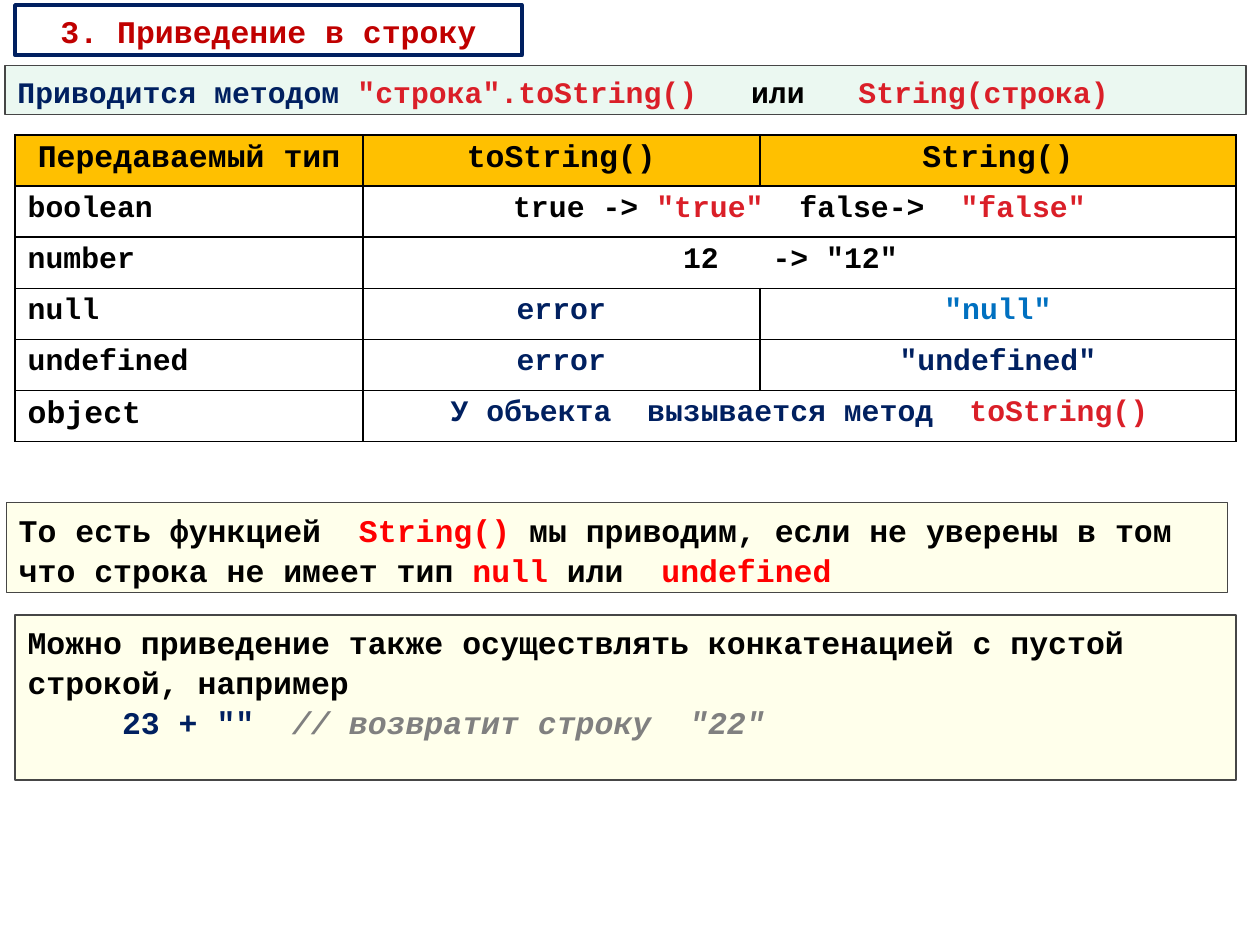
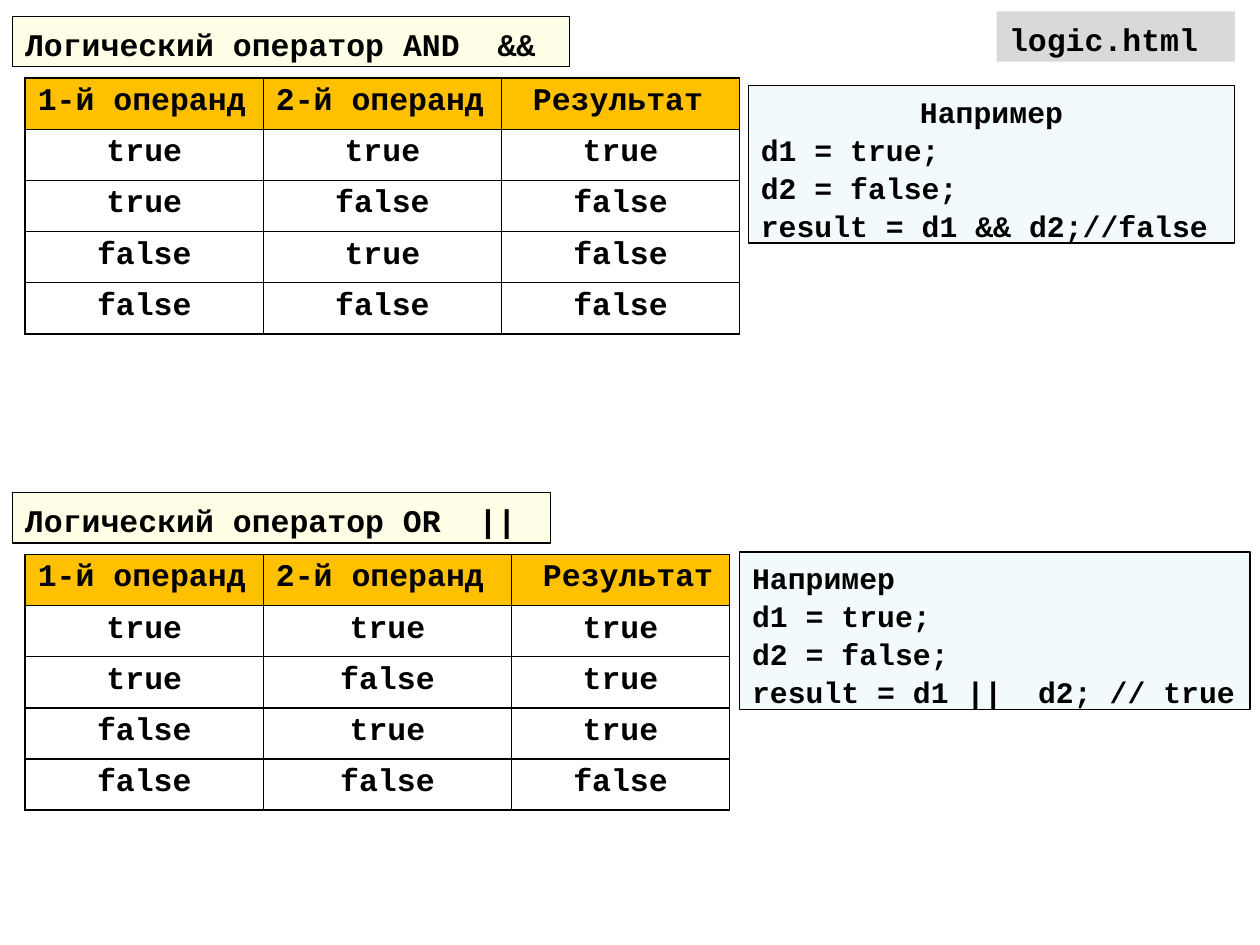
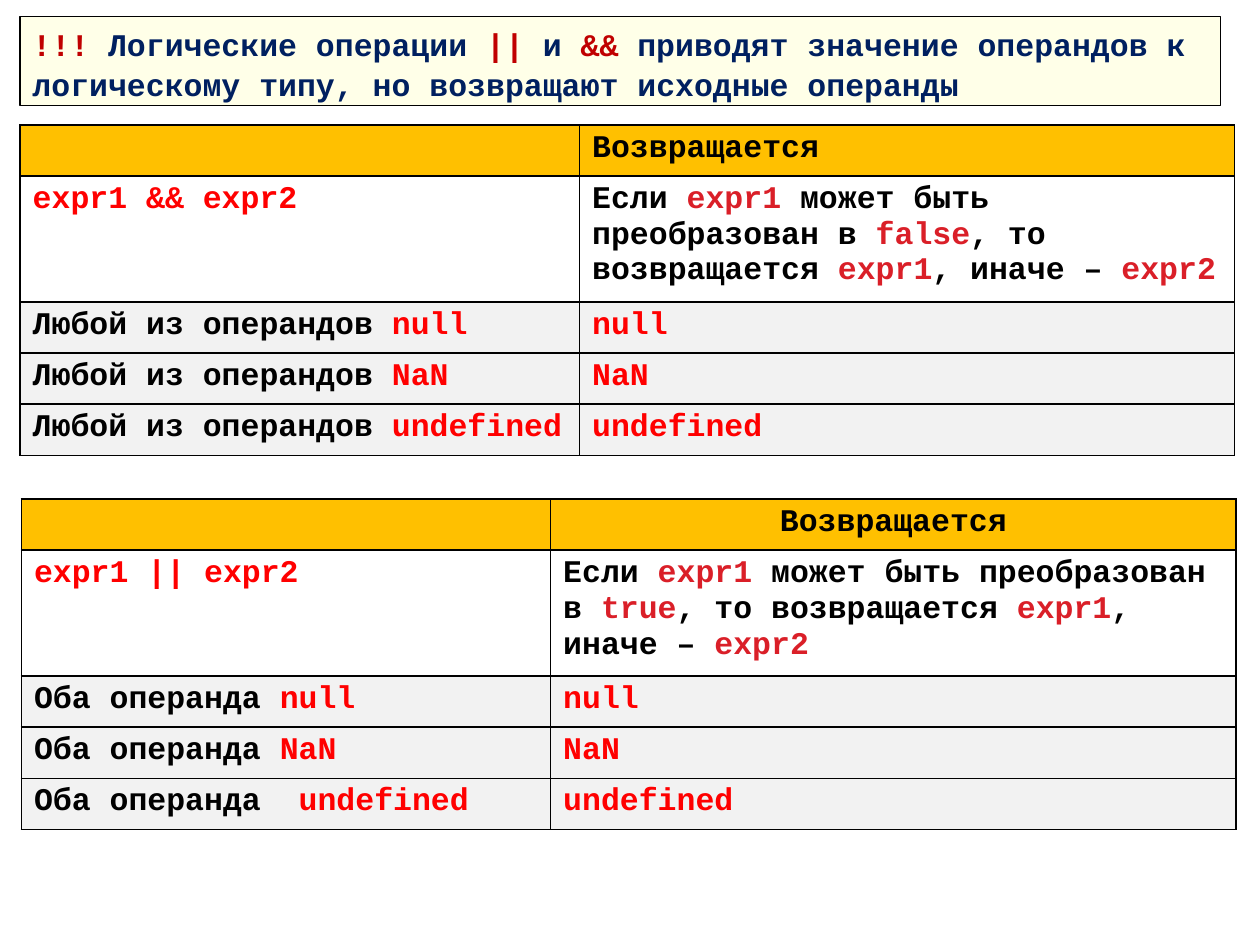
from lxml import etree
from pptx import Presentation
from pptx.dml.color import RGBColor
from pptx.enum.shapes import MSO_SHAPE
from pptx.enum.text import MSO_ANCHOR, PP_ALIGN
from pptx.oxml.ns import qn
from pptx.util import Inches, Pt

RECTANGLE = MSO_SHAPE.RECTANGLE
ALIGNMENTS = {"l": PP_ALIGN.LEFT, "c": PP_ALIGN.CENTER}
FONT = "Courier New"
SIZE, SMALL = 18, 17
ROW, TALL_ROW = 0.406, 1.0
BOX_SPACING = 1.06
CODE_INDENT = 0.75

COLORS = {
    "black": "000000", "white": "FFFFFF", "navy": "002060", "crimson": "DA1F28",
    "red": "FF0000", "maroon": "C00000", "blue": "0070C0", "comment": "808080",
    "green": "00B050", "yellow": "FFFF00", "sky": "7ACBE0", "silver": "D9D9D9",
    "header": "FFC000", "band": "F2F2F2", "outline": "464646",
}

# Box styles: fill, opacity in percent, line colour, line width
STYLES = {
    "title": ("white", 100, "navy", 2.25),
    "method": ("green", 8, "outline", 0.75),
    "remark": ("yellow", 8, "outline", 0.75),
    "heading": ("yellow", 9, "black", 0.75),
    "example": ("sky", 9, "black", 0.75),
    "file": ("silver", 100, None, 0),
}

# Content: {colour:text} marks a coloured run, None continues the cell to its left
CONVERSION_ROWS = [
    ["Передаваемый тип", "toString()", "String()"],
    ["boolean", 'true -> {crimson:"true"  }false->  {crimson:"false"}', None],
    ["number", '12   -> "12" ', None],
    ["null", "{navy:error}", '{blue:"null"}'],
    ["undefined", "{navy:error}", '{navy:"undefined"}'],
    [("object", SIZE), "{navy:У объекта  вызывается метод  }{crimson:toString()}", None],
]
OPERAND_HEADER = ["1-й операнд", "2-й операнд", " Результат"]
OPERANDS = [(True, True), (True, False), (False, True), (False, False)]
EMPTY_VALUES = ["null", "NaN", "undefined"]


def truth_rows(operator):
    """Header and every pair of operands with its result."""
    rows = [(first, second, operator((first, second))) for first, second in OPERANDS]
    return [OPERAND_HEADER] + [[str(value).lower() for value in row] for row in rows]


def return_rows(operator, tested, subjects):
    """What an operator returns, in general and for empty values."""
    rule = (f"Если {{crimson:expr1 }}может быть преобразован в {{crimson:{tested}}}, "
            "то возвращается {crimson:expr1}, иначе – {crimson:expr2}")
    rows = [["", "Возвращается"], [f"{{red:expr1 {operator} expr2}}", rule]]
    for subject, value in zip(subjects, EMPTY_VALUES):
        rows.append([f"{subject}{{red:{value}}}", f"{{red:{value}}}"])
    return rows


def example_lines(result):
    return ["Например", "d1 = true;", "d2 = false;", result]


SLIDES = [
    {
        "boxes": [
            dict(style="title", at=(0.12, 0.04, 4.02, 0.4), color="maroon", align="c",
                 lines=["3. Приведение в строку"]),
            dict(style="method", at=(0.04, 0.52, 9.85, 0.39), size=SMALL,
                 lines=['{navy:Приводится методом }{crimson:"cтрока".toString()   }'
                        "или   {crimson:String(строка)}"]),
            dict(style="remark", at=(0.05, 3.99, 9.69, 0.71),
                 lines=["То есть функцией  {red:String() }мы приводим, если не уверены "
                        "в том что строка не имеет тип {red:null }или{red:  undefined}"]),
            dict(style="remark", at=(0.12, 4.88, 9.69, 1.31), indents={1: CODE_INDENT},
                 lines=["Можно приведение также осуществлять конкатенацией с пустой "
                        "строкой, например",
                        '{navy:23 + ""  }{comment:// возвратит строку  "22"}']),
        ],
        "tables": [
            dict(at=(0.12, 1.07), columns=(2.76, 3.15, 3.78), rows=CONVERSION_ROWS,
                 header="ccc", body="lcc", size=SMALL),
        ],
    },
    {
        "boxes": [
            dict(style="heading", at=(0.1, 0.13, 4.42, 0.4),
                 lines=["Логический оператор AND  &&"]),
            dict(style="file", at=(7.91, 0.09, 1.89, 0.4), lines=["logic.html"]),
            dict(style="example", at=(5.94, 0.68, 3.86, 1.25), size=SMALL, align="clll",
                 lines=example_lines("result = d1 && d2;//false")),
            dict(style="heading", at=(0.1, 3.91, 4.27, 0.4),
                 lines=["Логический оператор OR  ||"]),
            dict(style="example", at=(5.87, 4.38, 4.05, 1.25), size=SMALL,
                 lines=example_lines("result = d1 ||  d2; // true")),
        ],
        "tables": [
            dict(at=(0.2, 0.62), columns=(1.89, 1.89, 1.89), rows=truth_rows(all),
                 header="lll", body="ccc"),
            dict(at=(0.2, 4.4), columns=(1.89, 1.97, 1.73), rows=truth_rows(any),
                 header="lll", body="ccc"),
        ],
    },
    {
        "boxes": [
            dict(style="heading", at=(0.16, 0.13, 9.53, 0.71), color="navy",
                 lines=["{maroon:!!! }Логические операции {maroon:|| }и {maroon:&&} "
                        "приводят значение операндов к логическому типу, "
                        "но возвращают исходные операнды"]),
        ],
        "tables": [
            dict(at=(0.16, 0.99), columns=(4.44, 5.2), header="ll", body="ll",
                 rows=return_rows("&&", "false", ["Любой из операндов "] * 3),
                 tall_row=1, band_from=2),
            dict(at=(0.17, 3.96), columns=(4.2, 5.44), header="lc", body="ll",
                 rows=return_rows("||", "true", ["Оба операнда "] * 2 + ["Оба операнда  "]),
                 tall_row=1, band_from=2),
        ],
    },
]


def rgb(name):
    return RGBColor.from_string(COLORS[name])


def write_paragraph(paragraph, text, size, color="black", align="l"):
    paragraph.alignment = ALIGNMENTS[align]
    font = paragraph.font
    font.name, font.size, font.bold = FONT, Pt(size), True
    font.color.rgb = rgb(color)
    plain, *chunks = text.split("{")
    pieces = [(color, plain)]
    for chunk in chunks:
        marked, _, plain = chunk.partition("}")
        name, _, words = marked.partition(":")
        pieces += [(name, words), (color, plain)]
    for name, words in pieces:
        if words:
            run = paragraph.add_run()
            run.text = words
            if name != color:
                run.font.color.rgb = rgb(name)
            if name == "comment":
                run.font.italic = True


def add_box(slide, style, at, lines, size=SIZE, color="black", align="l", indents=None):
    fill, opacity, line, width = STYLES[style]
    shape = slide.shapes.add_shape(RECTANGLE, *map(Inches, at))
    shape.shadow.inherit = False
    shape.fill.solid()
    shape.fill.fore_color.rgb = rgb(fill)
    if opacity < 100:
        color_element = shape.fill._xPr.find(qn("a:solidFill"))[0]
        etree.SubElement(color_element, qn("a:alpha"), val=str(opacity * 1000))
    if line:
        shape.line.color.rgb = rgb(line)
        shape.line.width = Pt(width)
    else:
        shape.line.fill.background()
    frame = shape.text_frame
    frame.word_wrap = True
    frame.vertical_anchor = MSO_ANCHOR.MIDDLE if style == "title" else MSO_ANCHOR.TOP
    for index, text in enumerate(lines):
        paragraph = frame.add_paragraph() if index else frame.paragraphs[0]
        write_paragraph(paragraph, text, size, color, align[index % len(align)])
        paragraph.line_spacing = BOX_SPACING
        if indents and index in indents:
            paragraph._p.get_or_add_pPr().set("marL", str(Inches(indents[index])))


def set_borders(cell):
    properties = cell._tc.get_or_add_tcPr()
    for position, side in enumerate(("a:lnL", "a:lnR", "a:lnT", "a:lnB")):
        line = etree.Element(qn(side), w=str(Pt(1)))
        fill = etree.SubElement(line, qn("a:solidFill"))
        etree.SubElement(fill, qn("a:srgbClr"), val=COLORS["black"])
        properties.insert(position, line)


def add_grid(slide, at, columns, rows, header, body, size=SIZE, tall_row=None, band_from=None):
    heights = [TALL_ROW if index == tall_row else ROW for index in range(len(rows))]
    box = (*at, sum(columns), sum(heights))
    table = slide.shapes.add_table(len(rows), len(columns), *map(Inches, box)).table
    table.first_row = table.horz_banding = False
    for column, width in zip(table.columns, columns):
        column.width = Inches(width)
    for row_index, row in enumerate(rows):
        table.rows[row_index].height = Inches(heights[row_index])
        is_header = row_index == 0
        is_band = band_from is not None and row_index >= band_from
        fill = "header" if is_header else "band" if is_band else "white"
        for column_index, content in enumerate(row):
            cell = table.cell(row_index, column_index)
            cell.fill.solid()
            cell.fill.fore_color.rgb = rgb(fill)
            set_borders(cell)
            if content is None:
                table.cell(row_index, column_index - 1).merge(cell)
                continue
            default_size = SIZE if is_header else size
            text, text_size = content if isinstance(content, tuple) else (content, default_size)
            align = (header if is_header else body)[column_index]
            write_paragraph(cell.text_frame.paragraphs[0], text, text_size, align=align)


def main():
    presentation = Presentation()
    presentation.slide_width, presentation.slide_height = Inches(10), Inches(7.5)
    blank = presentation.slide_layouts[6]
    for content in SLIDES:
        slide = presentation.slides.add_slide(blank)
        for table in content["tables"]:
            add_grid(slide, **table)
        for box in content["boxes"]:
            add_box(slide, **box)
    presentation.save("out.pptx")


if __name__ == "__main__":
    main()
